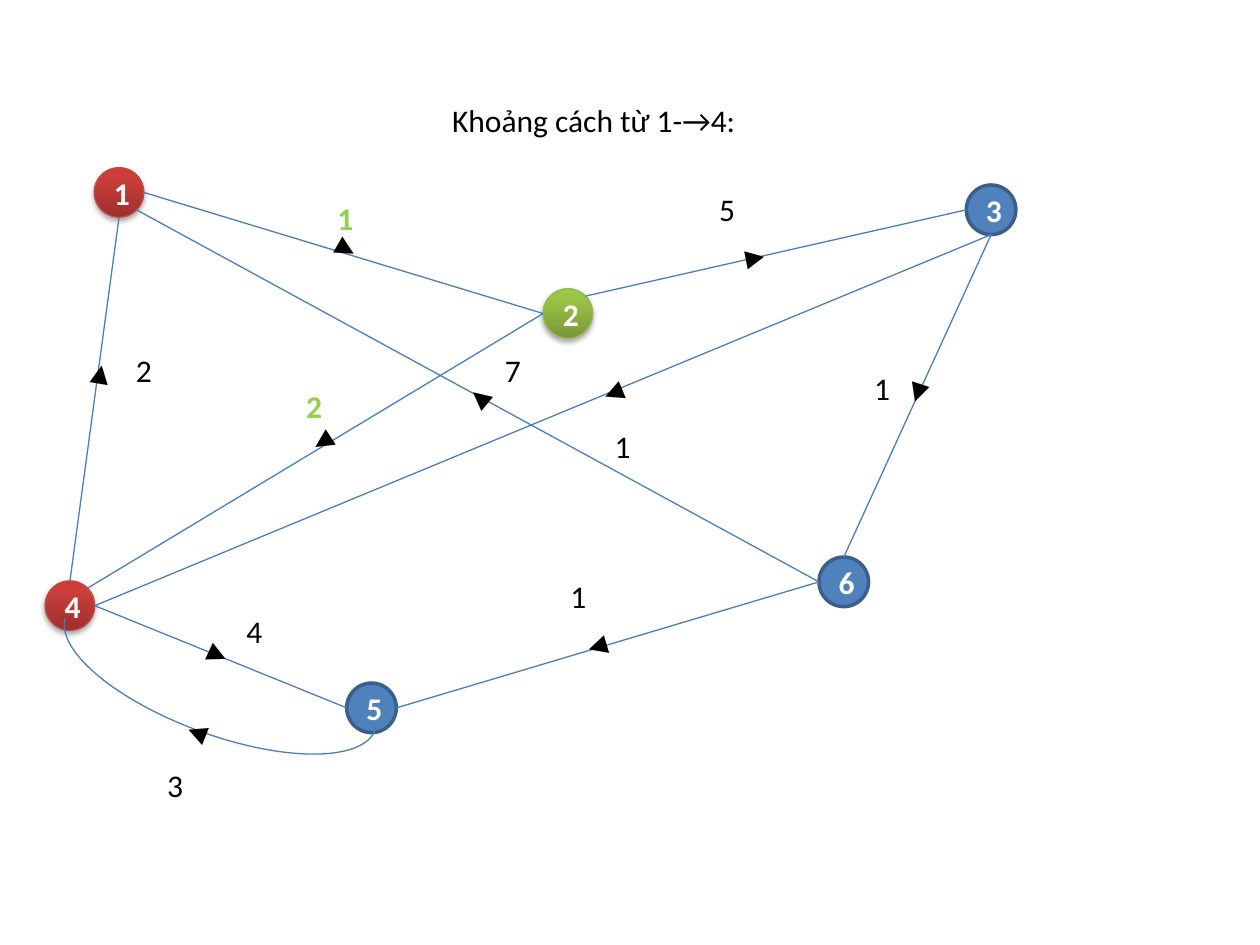
from copy import deepcopy

from lxml.etree import SubElement
from pptx import Presentation
from pptx.dml.color import RGBColor
from pptx.enum.shapes import MSO_CONNECTOR as LINK, MSO_SHAPE as SHAPE
from pptx.enum.text import MSO_ANCHOR as ANCHOR, MSO_AUTO_SIZE as FIT, PP_ALIGN as ALIGN
from pptx.oxml.ns import qn
from pptx.util import Cm, Pt

COLORS = {
    "black": "000000", "white": "FFFFFF", "edge": "4B7EBC", "path": "92D050",
    "blue": "4F81BD", "blue_rim": "3A5F8C", "red_rim": "BF4C48", "green_rim": "98B955",
}
RGB = {name: RGBColor.from_string(value) for name, value in COLORS.items()}
GRADIENTS = {
    "red": ("9C2F2D", "CB3E3A", "CE3B37"),
    "green": ("779737", "9BC348", "9DC746"),
}
STOPS = (0, 0.8, 1)
BOX = {"word_wrap": False, "auto_size": FIT.SHAPE_TO_FIT_TEXT, "vertical_anchor": ANCHOR.TOP}
CENTRED = {"word_wrap": True, "auto_size": FIT.NONE, "vertical_anchor": ANCHOR.MIDDLE}
BODY = {"name": "Calibri", "size": Pt(18), "bold": False}
BOLD = {**BODY, "bold": True}
ARROW = {**BODY, "name": "Times New Roman"}


def write(shape, text, font, color, frame=BOX, align=ALIGN.LEFT):
    """Put one line of formatted text into a shape."""
    for key, value in frame.items():
        setattr(shape.text_frame, key, value)
    paragraph = shape.text_frame.paragraphs[0]
    paragraph.alignment = align
    run = paragraph.add_run()
    run.text = text
    for key, value in font.items():
        setattr(run.font, key, value)
    run.font.color.rgb = RGB[color]


def outline(shape, color, width):
    """Give a shape or connector a solid line."""
    shape.line.color.rgb = RGB[color]
    shape.line.width = Pt(width)


deck = Presentation()
deck.slide_width, deck.slide_height = Cm(25.4), Cm(19.05)
slide = deck.slides.add_slide(deck.slide_layouts[5])
shapes = slide.shapes

heading = shapes.title
heading.left, heading.top, heading.width, heading.height = Cm(8.86), Cm(1.9), Cm(6.35), Cm(1.03)
write(heading, "Khoảng cách từ 1-→4:", BODY, "black")

# Graph nodes: left, top, colour
DIAMETER = 1
NODES = {
    1: (1.9, 3.38, "red"), 4: (0.91, 11.71, "red"), 5: (6.99, 13.77, "blue"),
    6: (16.51, 11.23, "blue"), 3: (19.48, 3.73, "blue"), 2: (10.95, 5.82, "green"),
}
for number, (left, top, color) in NODES.items():
    node = shapes.add_shape(SHAPE.FLOWCHART_CONNECTOR, Cm(left), Cm(top), Cm(DIAMETER), Cm(DIAMETER))
    node.shadow.inherit = False
    outline(node, color + "_rim", 0.75 if color in GRADIENTS else 2)
    if color in GRADIENTS:
        node.fill.gradient()
        node.fill.gradient_angle = 90
        properties = node._element.spPr
        stop_list = properties.find(qn("a:gradFill")).find(qn("a:gsLst"))
        stop_list.append(deepcopy(stop_list[-1]))
        for stop, position, value in zip(node.fill.gradient_stops, STOPS, GRADIENTS[color]):
            stop.position = position
            stop.color.rgb = RGBColor.from_string(value)
        shadow = SubElement(properties.find(qn("a:effectLst")), qn("a:outerShdw"),
                            blurRad="40000", dist="23000", dir="5400000", rotWithShape="0")
        shade = SubElement(shadow, qn("a:srgbClr"), val=COLORS["black"])
        SubElement(shade, qn("a:alpha"), val="35000")
    else:
        node.fill.solid()
        node.fill.fore_color.rgb = RGB[color]
    write(node, str(number), BOLD, "white", CENTRED, ALIGN.CENTER)

# Where an edge meets a node, as fractions of its diameter
SITES = {
    "top": (0.5, 0), "right": (1, 0.5), "bottom": (0.5, 1), "left": (0, 0.5),
    "top right": (0.85, 0.15), "bottom right": (0.85, 0.85),
}
# From, to, weight, label position, arrow position, arrow rotation
EDGES = [
    ((1, "right"), (2, "left"), 1, (6.55, 3.89), (6.45, 4.55), 119.9),
    ((2, "top right"), (3, "left"), 5, (14.25, 3.71), (14.71, 4.7), 79.1),
    ((2, "left"), (4, "top right"), 2, (5.92, 7.67), (5.89, 8.43), 236.8),
    ((3, "bottom"), (6, "top"), 1, (17.37, 7.32), (17.91, 7.47), 198.2),
    ((4, "top"), (1, "bottom"), 2, (2.49, 6.96), (1.47, 6.99), 9.7),
    ((3, "bottom"), (4, "right"), 1, (12.14, 8.48), (11.75, 7.44), 247.5),
    ((4, "right"), (5, "left"), 4, (4.72, 12.22), (3.86, 12.73), 115),
    ((5, "bottom"), (4, "bottom"), 3, (3.12, 15.32), (3.35, 14.25), 291.8),
    ((6, "left"), (1, "bottom right"), 7, (9.93, 6.96), (9.07, 7.47), 309.5),
    ((6, "left"), (5, "right"), 1, (11.25, 11.51), (11.42, 12.55), 253.2),
]
SHORTEST = [(1, 2), (2, 4)]
for start, end, weight, label_at, arrow_at, turn in EDGES:
    pair = (start[0], end[0])
    if pair == (5, 4):
        edge = shapes.add_shape(SHAPE.ARC, Cm(1.12), Cm(12.32), Cm(6.65), Cm(2.49))
        edge.rotation = 200.1
        edge.adjustments[0], edge.adjustments[1] = 107, 215.63
        edge.fill.background()
        edge.shadow.inherit = False
    else:
        ends = [Cm(NODES[number][axis] + DIAMETER * SITES[site][axis])
                for number, site in (start, end) for axis in (0, 1)]
        edge = shapes.add_connector(LINK.STRAIGHT, *ends)
    outline(edge, "edge", 0.75)
    if pair != (5, 4):
        SubElement(edge._element.spPr, qn("a:effectLst"))

    label = shapes.add_textbox(*map(Cm, label_at), Cm(0.84), Cm(1.03))
    if pair == (1, 2):
        label.fill.solid()
        label.fill.fore_color.rgb = RGB["white"]
        outline(label, "white", 2)
    font, color = (BOLD, "path") if pair in SHORTEST else (BODY, "black")
    write(label, str(weight), font, color)

    arrow = shapes.add_textbox(*map(Cm, arrow_at), Cm(1.14), Cm(1.03))
    arrow.rotation = turn
    write(arrow, "▲", ARROW, "black")

deck.save("out.pptx")
